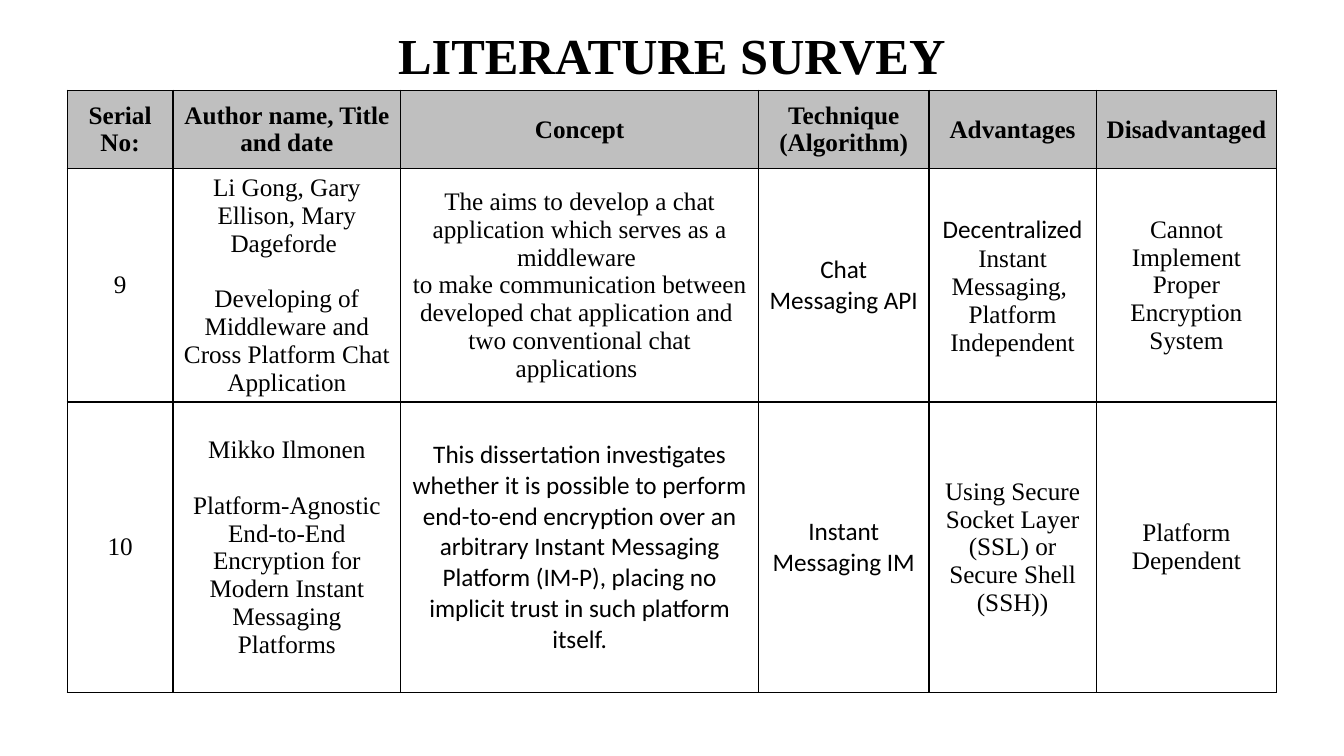
"""Build the literature survey slide with its table of papers."""
from lxml import etree
from pptx import Presentation
from pptx import util as u
from pptx.dml.color import RGBColor
from pptx.enum import text
from pptx.oxml import ns

SERIF, SANS = "Times New Roman", "Calibri"
LINE = 20


def write(frame, words, new=False, font=SERIF, size=18, bold=False, color="000000", before=0):
    paragraph = frame.add_paragraph() if new else frame.paragraphs[0]
    paragraph.alignment = text.PP_ALIGN.CENTER
    paragraph.space_before = u.Pt(before)
    run = paragraph.add_run()
    run.text = words
    run.font.name, run.font.size, run.font.bold = font, u.Pt(size), bold
    run.font.color.rgb = RGBColor.from_string(color)


def outline(cell, color="000000", width=1):
    for side in ("lnL", "lnR", "lnT", "lnB"):
        edge = etree.SubElement(cell._tc.get_or_add_tcPr(), ns.qn(f"a:{side}"), w=str(u.Pt(width)))
        fill = etree.SubElement(edge, ns.qn("a:solidFill"))
        etree.SubElement(fill, ns.qn("a:srgbClr"), val=color)


deck = Presentation()
deck.slide_width, deck.slide_height = u.Pt(960), u.Pt(540)
slide = deck.slides.add_slide(deck.slide_layouts[5])

heading = slide.shapes.title
heading.left, heading.top, heading.width, heading.height = u.Pt(48), u.Pt(12), u.Pt(864), u.Pt(53.5)
heading.text_frame.vertical_anchor = text.MSO_ANCHOR.MIDDLE
write(heading.text_frame, "LITERATURE SURVEY", size=36, bold=True)

headers = ["Serial No:", "Author name, Title and date", "Concept",
           "Technique (Algorithm)", "Advantages", "Disadvantaged"]
middleware = [
    [("9", {})],
    [("Li Gong, Gary Ellison, Mary Dageforde ", {}),
     ("Developing of Middleware and Cross Platform Chat Application", {"before": LINE})],
    [("The aims to develop a chat application which serves as a middleware ", {}),
     ("to make communication between developed chat application and ", {}),
     ("two conventional chat applications ", {})],
    [("Chat Messaging API", {"font": SANS})],
    [("Decentralized", {"font": SANS}), ("Instant Messaging, ", {}), ("Platform Independent", {})],
    [("Cannot Implement Proper Encryption System", {})],
]
encryption = [
    [("10", {})],
    [("Mikko Ilmonen", {}),
     ("Platform-Agnostic End-to-End Encryption for", {"before": LINE}),
     ("Modern Instant Messaging Platforms", {})],
    [("This dissertation investigates whether it is possible to perform end-to-end encryption "
      "over an arbitrary Instant Messaging Platform (IM-P), placing no implicit trust in such "
      "platform itself.", {"font": SANS})],
    [("Instant Messaging IM", {"font": SANS})],
    [("Using Secure Socket Layer", {}), ("(SSL) or Secure Shell (SSH))", {})],
    [("Platform Dependent", {})],
]
papers = [[[(label, {"bold": True})] for label in headers], middleware, encryption]
widths = [75.6, 162.7, 255.6, 121.7, 119.5, 128.9]
heights = [56, 166.5, 207.5]

survey = slide.shapes.add_table(len(papers), len(headers), u.Pt(48), u.Pt(64.5),
                                u.Pt(sum(widths)), u.Pt(sum(heights))).table
survey.first_row = survey.horz_banding = False
for column, width in zip(survey.columns, widths):
    column.width = u.Pt(width)

for r, (paper, height) in enumerate(zip(papers, heights)):
    survey.rows[r].height = u.Pt(height)
    for c, entries in enumerate(paper):
        cell = survey.cell(r, c)
        cell.vertical_anchor = text.MSO_ANCHOR.MIDDLE
        outline(cell)
        if r == 0:
            cell.fill.solid()
            cell.fill.fore_color.rgb = RGBColor.from_string("BFBFBF")
        else:
            cell.fill.background()
        for i, (words, style) in enumerate(entries):
            write(cell.text_frame, words, new=i > 0, **style)

deck.save("out.pptx")
